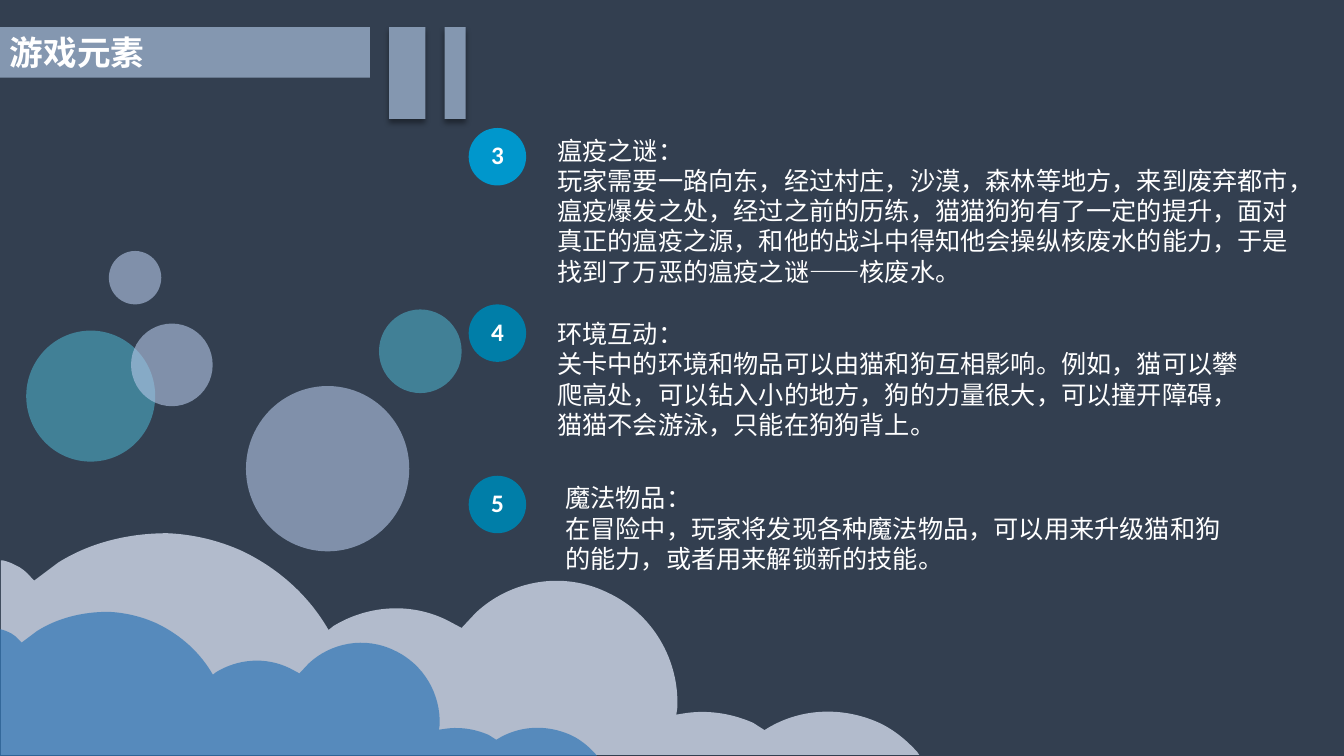
from dataclasses import dataclass

from lxml.etree import SubElement
from pptx import Presentation
from pptx.dml.color import RGBColor
from pptx.enum.shapes import MSO_SHAPE
from pptx.enum.text import MSO_ANCHOR, MSO_AUTO_SIZE, PP_ALIGN
from pptx.oxml.ns import qn
from pptx.util import Emu, Pt

PX = 9144  # EMU per px, 100 px to the inch


@dataclass(frozen=True)
class Theme:
    background: str = "333F50"
    bar: str = "8497B0"
    text: str = "FFFFFF"
    teal: str = "4BACC6"
    mist: str = "B4C7E7"
    back_cloud: str = "DAE3F3"
    front_cloud: str = "2E75B6"
    bright_badge: str = "0097CC"
    badge: str = "007EA8"
    shadow: str = "000000"
    title_font: str = "TeX Gyre Adventor"
    body_font: str = "Calibri"
    title_size: int = 24
    body_size: int = 18


THEME = Theme()

# Cloud edge in px from its top left corner: 2 numbers are a line, 6 a Bézier curve.
CLOUD_START = (165, 0)
CLOUD_EDGE = [
    (190, 1, 216, 7, 240, 18), (277, 36, 306, 63, 325, 96), (325, 96),
    (330, 92), (363, 72, 405, 68, 442, 86), (457, 94), (471, 79),
    (505, 47, 557, 37, 602, 59), (647, 80, 673, 126, 671, 173), (670, 180),
    (676, 179), (699, 175, 723, 178, 746, 188), (757, 195), (758, 195),
    (791, 174, 833, 171, 871, 188), (886, 195, 898, 205, 909, 217),
    (911, 220), (0, 220), (0, 27), (2, 27),
    (6, 28, 9, 29, 13, 31), (20, 34, 25, 38, 30, 44),
    (33, 47), (57, 29), (89, 9, 127, 0, 165, 0),
]

# left, top, width, height, colour
BUBBLES = [
    (26, 328, 128, 130, THEME.teal),
    (244, 383, 162, 164, THEME.mist),
    (130, 321, 81, 82, THEME.mist),
    (108, 249, 52, 53, THEME.mist),
    (376, 307, 82, 83, THEME.teal),
]

# number, badge top, badge colour, text box, paragraphs
ITEMS = [
    ("3", 127, THEME.bright_badge, (543, 129, 763, 161), [
        "瘟疫之谜：",
        "玩家需要一路向东，经过村庄，沙漠，森林等地方，来到废弃都市，瘟疫爆发之处，"
        "经过之前的历练，猫猫狗狗有了一定的提升，面对真正的瘟疫之源，"
        "和他的战斗中得知他会操纵核废水的能力，于是找到了万恶的瘟疫之谜——核废水。"]),
    ("4", 302, THEME.badge, (543, 311, 702, 131), [
        "环境互动：",
        "关卡中的环境和物品可以由猫和狗互相影响。例如，猫可以攀爬高处，"
        "可以钻入小的地方，狗的力量很大，可以撞开障碍，猫猫不会游泳，只能在狗狗背上。"]),
    ("5", 472, THEME.badge, (551, 474, 694, 101), [
        "魔法物品：",
        "在冒险中，玩家将发现各种魔法物品，可以用来升级猫和狗的能力，"
        "或者用来解锁新的技能。"]),
]


def bend(sp, edge):
    """Turn each three lines that stand for a curve of the edge into that curve."""
    lines = iter(sp._element.findall(".//" + qn("a:lnTo")))
    for step in edge:
        first = next(lines)
        if len(step) == 6:
            first.tag = qn("a:cubicBezTo")
            for line in (next(lines), next(lines)):
                first.append(line[0])
                line.getparent().remove(line)


def write(sp, paragraphs, size=THEME.body_size, font=THEME.body_font, bold=False,
          align=PP_ALIGN.LEFT, anchor=MSO_ANCHOR.TOP, spacing=None, grow=True):
    tf = sp.text_frame
    tf.word_wrap = True
    tf.vertical_anchor = anchor
    if grow:
        tf.auto_size = MSO_AUTO_SIZE.SHAPE_TO_FIT_TEXT
    for i, text in enumerate(paragraphs):
        p = tf.add_paragraph() if i else tf.paragraphs[0]
        p.alignment = align
        p.line_spacing = spacing
        r = p.add_run()
        r.text = text
        r.font.size = Pt(size)
        r.font.name = font
        r.font.bold = bold
        r.font.color.rgb = RGBColor.from_string(THEME.text)


class SlideBuilder:
    def __init__(self, slide, theme):
        self.s = slide
        self.theme = theme
        fill = slide.background.fill
        fill.solid()
        fill.fore_color.rgb = RGBColor.from_string(theme.background)

    def paint(self, sp, color, opacity=100):
        sp.shadow.inherit = False
        sp.line.fill.background()
        sp.fill.solid()
        sp.fill.fore_color.rgb = RGBColor.from_string(color)
        if opacity < 100:
            clr = sp._element.xpath("./p:spPr/a:solidFill/a:srgbClr")[0]
            SubElement(clr, qn("a:alpha"), val=str(opacity * 1000))
        return sp

    def shape(self, kind, box, color, opacity=100):
        sp = self.s.shapes.add_shape(kind, *(v * PX for v in box))
        return self.paint(sp, color, opacity)

    def cloud(self, left, top, scale, color, opacity):
        points = [step[i:i + 2] for step in [CLOUD_START, *CLOUD_EDGE]
                  for i in range(0, len(step), 2)]
        start, *rest = [(round((left + x * scale) * PX), round((top + y * scale) * PX))
                        for x, y in points]
        builder = self.s.shapes.build_freeform(*start)
        builder.add_line_segments(rest, close=True)
        sp = builder.convert_to_shape()
        bend(sp, CLOUD_EDGE)
        self.paint(sp, color, opacity)

    def shadowed_bar(self, box):
        sp = self.shape(MSO_SHAPE.RECTANGLE, box, self.theme.bar)
        effects = sp._element.spPr.find(qn("a:effectLst"))
        shadow = SubElement(effects, qn("a:outerShdw"), blurRad=str(Pt(4)),
                            dist=str(Pt(3)), dir="5400000", algn="t", rotWithShape="0")
        clr = SubElement(shadow, qn("a:srgbClr"), val=self.theme.shadow)
        SubElement(clr, qn("a:alpha"), val="40000")

    def title(self, box, text):
        sp = self.shape(MSO_SHAPE.RECTANGLE, box, self.theme.bar)
        write(sp, [text], size=self.theme.title_size, font=self.theme.title_font, bold=True)

    def badge(self, box, number, color):
        sp = self.shape(MSO_SHAPE.OVAL, box, color)
        write(sp, [number], bold=True, align=PP_ALIGN.CENTER,
              anchor=MSO_ANCHOR.MIDDLE, spacing=0.9, grow=False)

    def text(self, box, paragraphs):
        write(self.s.shapes.add_textbox(*(v * PX for v in box)), paragraphs)


def main():
    prs = Presentation()
    prs.slide_height = Emu(750 * PX)
    prs.slide_width = Emu(prs.slide_height * 16 // 9)
    page = SlideBuilder(prs.slides.add_slide(prs.slide_layouts[6]), THEME)

    page.title((0, 27, 367, 50), "游戏元素")
    page.cloud(1, 529, 1, THEME.back_cloud, 76)
    page.cloud(0, 607, 0.65, THEME.front_cloud, 69)
    for *box, color in BUBBLES:
        page.shape(MSO_SHAPE.OVAL, box, color, 60)
    for left, width in ((386, 36), (441, 21)):
        page.shadowed_bar((left, 27, width, 91))
    for number, top, color, box, paragraphs in ITEMS:
        page.badge((465, top, 57, 57), number, color)
        page.text(box, paragraphs)

    prs.save("out.pptx")


if __name__ == "__main__":
    main()
